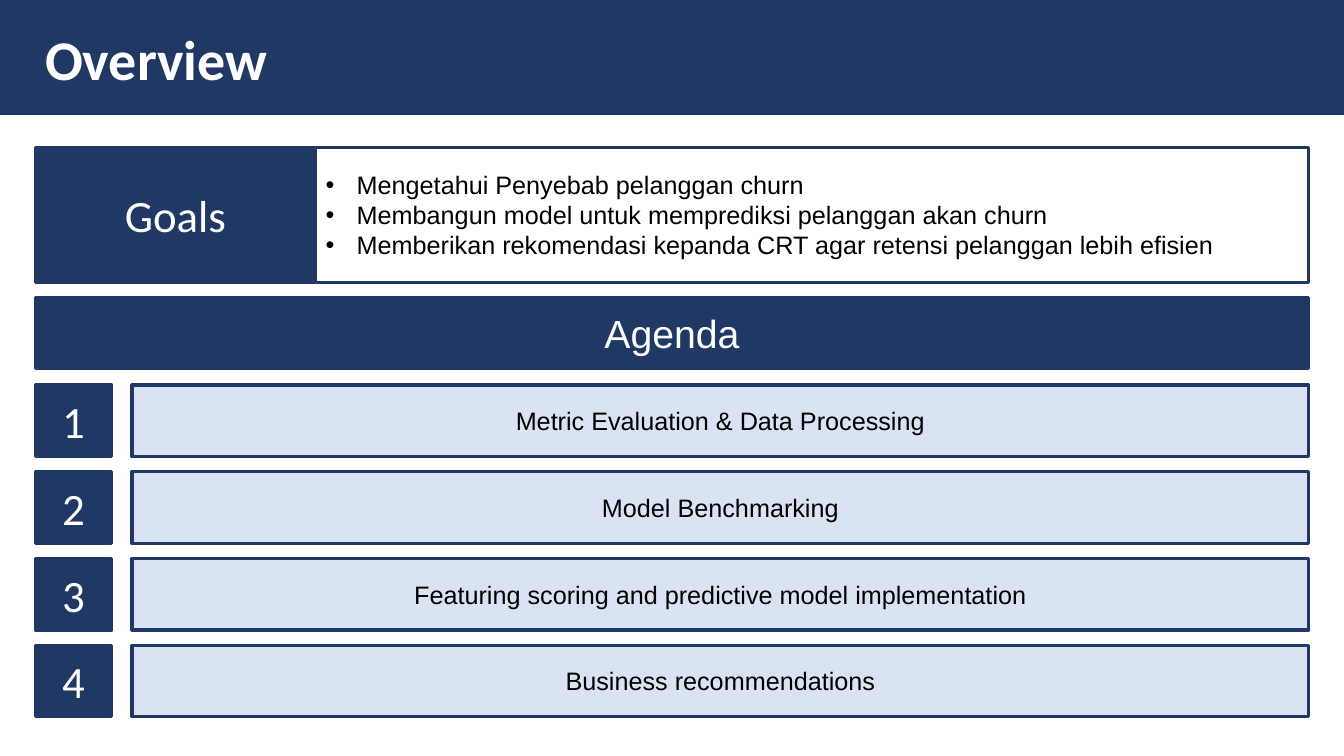
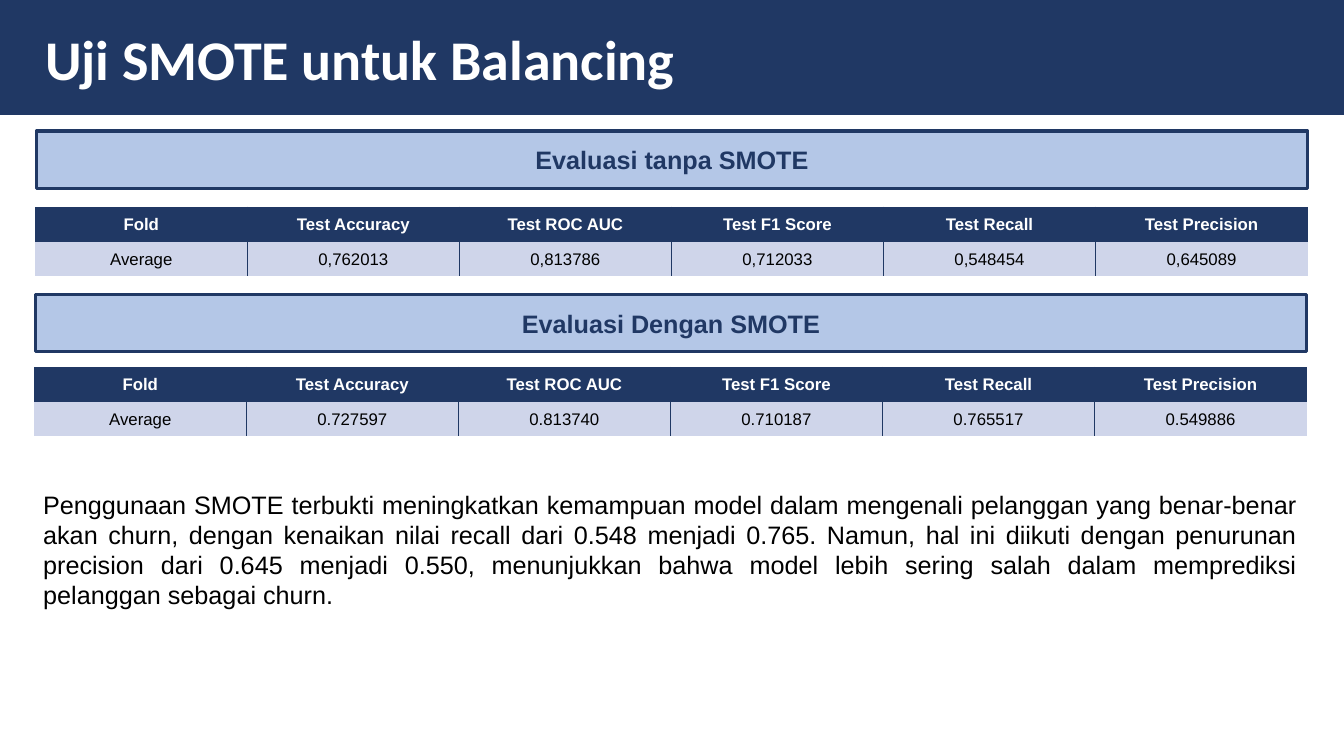
from pptx import Presentation
from pptx.dml.color import RGBColor
from pptx.enum.shapes import MSO_SHAPE
from pptx.enum.text import MSO_ANCHOR, PP_ALIGN
from pptx.oxml.ns import qn
from pptx.util import Inches, Pt
from lxml.etree import SubElement

NAVY, PALE, BLUE, CELL = "203864", "DAE3F3", "B4C7E7", "CFD5EA"
WHITE, BLACK = "FFFFFF", "000000"
SLIDE_WIDTH, LEFT, WIDTH = 13.33, 0.35, 12.63

GOALS = [
    "Mengetahui Penyebab pelanggan churn",
    "Membangun model untuk memprediksi pelanggan akan churn",
    "Memberikan rekomendasi kepanda CRT agar retensi pelanggan lebih efisien",
]
AGENDA = [
    "Metric Evaluation & Data Processing",
    "Model Benchmarking",
    "Featuring scoring and predictive model implementation",
    "Business recommendations",
]
METRICS = ["Fold", "Test Accuracy", "Test ROC AUC", "Test F1 Score",
           "Test Recall", "Test Precision"]
# heading, heading left and top, table left and top, averages
EVALUATIONS = [
    ("Evaluasi tanpa SMOTE", (0.36, 1.3), (0.35, 2.05),
     ["Average", "0,762013", "0,813786", "0,712033", "0,548454", "0,645089"]),
    ("Evaluasi Dengan SMOTE", (0.35, 2.92), (0.34, 3.64),
     ["Average", "0.727597", "0.813740", "0.710187", "0.765517", "0.549886"]),
]
CONCLUSION = (
    "Penggunaan SMOTE terbukti meningkatkan kemampuan model dalam mengenali "
    "pelanggan yang benar-benar akan churn, dengan kenaikan nilai recall dari "
    "0.548 menjadi 0.765. Namun, hal ini diikuti dengan penurunan precision "
    "dari 0.645 menjadi 0.550, menunjukkan bahwa model lebih sering salah "
    "dalam memprediksi pelanggan sebagai churn."
)


def rgb(color):
    return RGBColor.from_string(color)


def write(frame, lines, size, color, font="Arial", bold=False, align=PP_ALIGN.CENTER):
    frame.word_wrap = True
    for index, line in enumerate(lines):
        paragraph = frame.paragraphs[0] if index == 0 else frame.add_paragraph()
        paragraph.text = line
        paragraph.alignment = align
        paragraph.font.size = Pt(size)
        paragraph.font.name = font
        paragraph.font.bold = bold
        paragraph.font.color.rgb = rgb(color)


def add_bullets(frame, indent):
    for paragraph in frame.paragraphs:
        properties = paragraph._p.get_or_add_pPr()
        properties.set("marL", str(Inches(indent)))
        properties.set("indent", str(-Inches(indent)))
        SubElement(properties, qn("a:buFont")).set("typeface", "Arial")
        SubElement(properties, qn("a:buChar")).set("char", "•")


def add_box(slide, left, top, width, height, fill=None, line=None):
    box = slide.shapes.add_shape(MSO_SHAPE.RECTANGLE, Inches(left), Inches(top),
                                 Inches(width), Inches(height))
    box.shadow.inherit = False
    if fill:
        box.fill.solid()
        box.fill.fore_color.rgb = rgb(fill)
    else:
        box.fill.background()
    if line:
        box.line.color.rgb = rgb(line)
        box.line.width = Pt(2.25)
    else:
        box.line.fill.background()
    box.text_frame.vertical_anchor = MSO_ANCHOR.MIDDLE
    return box.text_frame


def add_text(slide, left, top, width, height):
    return slide.shapes.add_textbox(Inches(left), Inches(top), Inches(width),
                                    Inches(height)).text_frame


def add_titled_slide(presentation, title):
    slide = presentation.slides.add_slide(presentation.slide_layouts[6])
    add_box(slide, 0, 0, SLIDE_WIDTH, 1.14, NAVY)
    write(add_text(slide, LEFT, 0.19, WIDTH, 0.77), [title], 40, WHITE,
          "Calibri", True, PP_ALIGN.LEFT)
    return slide


def set_borders(cell, visible):
    """Draw navy lines on the sides named in visible and none on the others."""
    properties = cell._tc.get_or_add_tcPr()
    for side in "LRTB":
        border = SubElement(properties, qn(f"a:ln{side}"), w=str(Pt(1)))
        if side in visible:
            fill = SubElement(border, qn("a:solidFill"))
            SubElement(fill, qn("a:srgbClr")).set("val", NAVY)
        else:
            SubElement(border, qn("a:noFill"))


def add_metric_table(slide, left, top, averages):
    rows = [METRICS, averages]
    table = slide.shapes.add_table(len(rows), len(METRICS), Inches(left), Inches(top),
                                   Inches(12.62), Inches(0.69)).table
    last = len(METRICS) - 1
    for row, values in enumerate(rows):
        header = row == 0
        for column, value in enumerate(values):
            cell = table.cell(row, column)
            sides = "B" if header else "T"
            sides += "L" if column > 0 else ""
            sides += "R" if column < last else ""
            set_borders(cell, sides)
            cell.fill.solid()
            cell.fill.fore_color.rgb = rgb(NAVY if header else CELL)
            cell.vertical_anchor = MSO_ANCHOR.MIDDLE
            cell.margin_left = cell.margin_right = cell.margin_top = Inches(0.01)
            cell.margin_bottom = 0
            write(cell.text_frame, [value], 12, WHITE if header else BLACK, bold=header)


def build_overview(presentation):
    slide = add_titled_slide(presentation, "Overview")
    label_width, goals_top, goals_height = 2.78, 1.46, 1.34
    write(add_box(slide, LEFT, goals_top, label_width, goals_height, NAVY, NAVY),
          ["Goals"], 32, WHITE, "Calibri")
    goals = add_box(slide, LEFT + label_width, goals_top, WIDTH - label_width,
                    goals_height, line=NAVY)
    write(goals, GOALS, 18, BLACK, align=PP_ALIGN.LEFT)
    add_bullets(goals, 0.31)

    row_height, first_top, pitch, topic_offset = 0.71, 3.82, 0.86, 0.96
    write(add_box(slide, LEFT, 2.95, WIDTH, row_height, NAVY, NAVY),
          ["Agenda"], 28, WHITE)
    for index, topic in enumerate(AGENDA):
        top = first_top + index * pitch
        write(add_box(slide, LEFT, top, 0.76, row_height, NAVY, NAVY),
              [str(index + 1)], 32, WHITE, "Calibri")
        write(add_box(slide, LEFT + topic_offset, top, WIDTH - topic_offset,
                      row_height, PALE, NAVY), [topic], 18, BLACK)


def build_smote_test(presentation):
    slide = add_titled_slide(presentation, "Uji SMOTE untuk Balancing")
    for heading, heading_place, table_place, averages in EVALUATIONS:
        write(add_box(slide, *heading_place, 12.61, 0.57, BLUE, NAVY),
              [heading], 18, NAVY, bold=True)
        add_metric_table(slide, *table_place, averages)
    write(add_text(slide, 0.33, 4.8, WIDTH, 1.31), [CONCLUSION], 18, BLACK,
          align=PP_ALIGN.JUSTIFY)


def main():
    presentation = Presentation()
    presentation.slide_width = Inches(SLIDE_WIDTH)
    presentation.slide_height = Inches(7.5)
    build_overview(presentation)
    build_smote_test(presentation)
    presentation.save("out.pptx")


if __name__ == "__main__":
    main()
